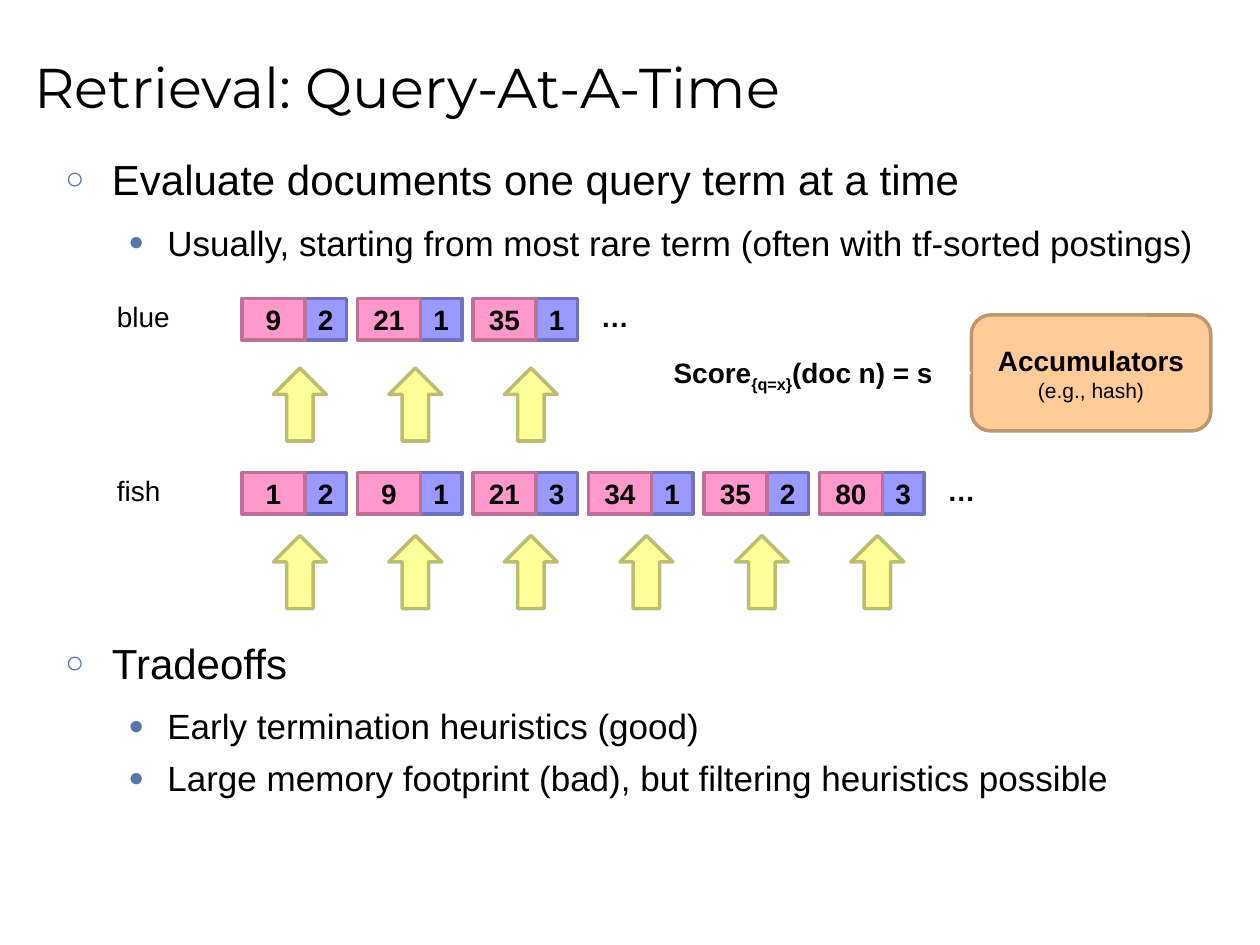
from dataclasses import dataclass

from lxml.etree import SubElement
from pptx import Presentation
from pptx.dml.color import RGBColor
from pptx.enum.shapes import MSO_CONNECTOR as Link, MSO_SHAPE as Kind
from pptx.enum.text import MSO_ANCHOR as Anchor, PP_ALIGN as Align
from pptx.oxml.ns import qn
from pptx.util import Inches, Pt

BLACK = RGBColor(0, 0, 0)
WHITE = RGBColor(0xFF, 0xFF, 0xFF)
PINK = RGBColor(0xFF, 0x99, 0xCC)
ROSE = RGBColor(0xBD, 0x71, 0x97)
LILAC = RGBColor(0x99, 0x99, 0xFF)
VIOLET = RGBColor(0x71, 0x71, 0xBD)
YELLOW = RGBColor(0xFF, 0xFF, 0x99)
OLIVE = RGBColor(0xBD, 0xBD, 0x71)
PEACH = RGBColor(0xFF, 0xCC, 0x99)
BROWN = RGBColor(0xBD, 0x97, 0x71)
BULLET = "5675A9"

LEFT, PITCH = 1.92, 11 / 12
DOC_W, FREQ_W, CELL_H = 0.5, 0.33, 0.33


@dataclass
class Point:
    text: str
    level: int = 0
    before: float = 0


@dataclass
class Term:
    name: str
    top: float
    arrow: float
    width: float
    posts: list[tuple[int, int]]


POINTS = [
    Point("Evaluate documents one query term at a time"),
    Point("Usually, starting from most rare term (often with tf-sorted postings)", 1, 2.8),
    Point("Tradeoffs", 0, 211),
    Point("Early termination heuristics (good)", 1, 2.8),
    Point("Large memory footprint (bad), but filtering heuristics possible", 1, 2.8),
]
TERMS = [
    Term("fish", 3.75, 4.25, 0.55, [(1, 2), (9, 1), (21, 3), (34, 1), (35, 2), (80, 3)]),
    Term("blue", 2.37, 2.92, 0.62, [(9, 2), (21, 1), (35, 1)]),
]


def style(para, size: float, bold: bool = False, face: str = "Arial") -> None:
    font = para.font
    font.name, font.size, font.bold = face, Pt(size), bold
    font.color.rgb = BLACK


def add_box(slide, kind, x: float, y: float, w: float, h: float,
            fill: RGBColor, edge: RGBColor, text: str = ""):
    box = slide.shapes.add_shape(kind, Inches(x), Inches(y), Inches(w), Inches(h))
    box.shadow.inherit = False
    box.fill.solid()
    box.fill.fore_color.rgb = fill
    box.line.color.rgb = edge
    box.line.width = Pt(2)
    if text:
        frame = box.text_frame
        frame.vertical_anchor = Anchor.MIDDLE
        para = frame.paragraphs[0]
        para.text, para.alignment = text, Align.CENTER
        style(para, 16, True)
    return box


def add_text(slide, x: float, y: float, w: float, text: str, bold: bool = False,
             h: float = 0.37):
    box = slide.shapes.add_textbox(Inches(x), Inches(y), Inches(w), Inches(h))
    para = box.text_frame.paragraphs[0]
    para.text = text
    style(para, 16, bold)
    return box


def add_bullet(para, level: int) -> None:
    props = para._p.get_or_add_pPr()
    margin, hang = ((0.37, 0.37), (0.81, 0.31))[level]
    props.set("marL", str(Inches(margin)))
    props.set("indent", str(-Inches(hang)))
    color = SubElement(props, qn("a:buClr"))
    SubElement(color, qn("a:srgbClr"), val=BULLET)
    SubElement(props, qn("a:buSzPct"), val="75000")
    SubElement(props, qn("a:buFont"), typeface="Arial")
    SubElement(props, qn("a:buChar"), char="○●"[level])


def add_title(slide) -> None:
    title = slide.shapes.title
    title.left, title.top = Inches(0.17), Inches(0.12)
    title.width, title.height = Inches(9.5), Inches(1.12)
    title.text_frame.vertical_anchor = Anchor.MIDDLE
    para = title.text_frame.paragraphs[0]
    para.text, para.alignment = "Retrieval: Query-At-A-Time", Align.LEFT
    style(para, 32, face="Montserrat")


def add_points(slide) -> None:
    box = slide.shapes.add_textbox(Inches(0.42), Inches(1.17), Inches(9.25), Inches(5.58))
    frame = box.text_frame
    frame.word_wrap = True
    for i, point in enumerate(POINTS):
        para = frame.add_paragraph() if i else frame.paragraphs[0]
        para.text, para.level = point.text, point.level
        add_bullet(para, point.level)
        para.space_before = Pt(point.before)
        para.space_after = Pt(2.8 if point.level else 6.9)
        style(para, 20 if point.level else 24)


def add_term(slide, term: Term) -> None:
    """Draw a term's label, its postings and an arrow under each posting."""
    add_text(slide, 0.83, term.top - 0.04, term.width, term.name)
    starts = [LEFT + i * PITCH for i in range(len(term.posts) + 1)]
    for x, (_, freq) in zip(starts, term.posts):
        add_box(slide, Kind.RECTANGLE, x + DOC_W, term.top, FREQ_W, CELL_H,
                LILAC, VIOLET, str(freq))
    for x, (doc, _) in zip(starts, term.posts):
        add_box(slide, Kind.RECTANGLE, x, term.top, DOC_W, CELL_H, PINK, ROSE, str(doc))
        add_box(slide, Kind.UP_ARROW, x + 0.25, term.arrow, 0.42, 0.58, YELLOW, OLIVE)
    add_text(slide, starts[-1], term.top - 0.04, 0.43, "…", True)


def add_score(slide) -> None:
    """Draw the score formula, the accumulators and the arrow between them."""
    store = add_box(slide, Kind.ROUNDED_RECTANGLE, 7.71, 2.5, 1.9, 0.92,
                    PEACH, BROWN, "Accumulators")
    note = store.text_frame.add_paragraph()
    note.text, note.alignment = "(e.g., hash)", Align.CENTER
    style(note, 12)

    score = add_text(slide, 5.17, 2.77, 2.33, "Score", True)
    score.text_frame.word_wrap = True
    para = score.text_frame.paragraphs[0]
    para.alignment = Align.RIGHT
    sub = para.add_run()
    sub.text = "{q=x}"
    sub.font._element.set("baseline", "-25000")
    para.add_run().text = "(doc n) = s"

    y = Inches(2.96)
    link = slide.shapes.add_connector(Link.STRAIGHT, Inches(7.5), y, Inches(7.71), y)
    link.begin_connect(score, 3)
    link.end_connect(store, 1)
    link.line.color.rgb = WHITE
    link.line.width = Pt(1.75)
    SubElement(link.line._get_or_add_ln(), qn("a:tailEnd"), type="arrow")
    SubElement(link._element.spPr, qn("a:effectLst"))


def main() -> None:
    deck = Presentation()
    deck.slide_width, deck.slide_height = Inches(10), Inches(7.5)
    slide = deck.slides.add_slide(deck.slide_layouts[5])
    add_title(slide)
    add_points(slide)
    for term in TERMS:
        add_term(slide, term)
    add_score(slide)
    deck.save("out.pptx")


if __name__ == "__main__":
    main()
